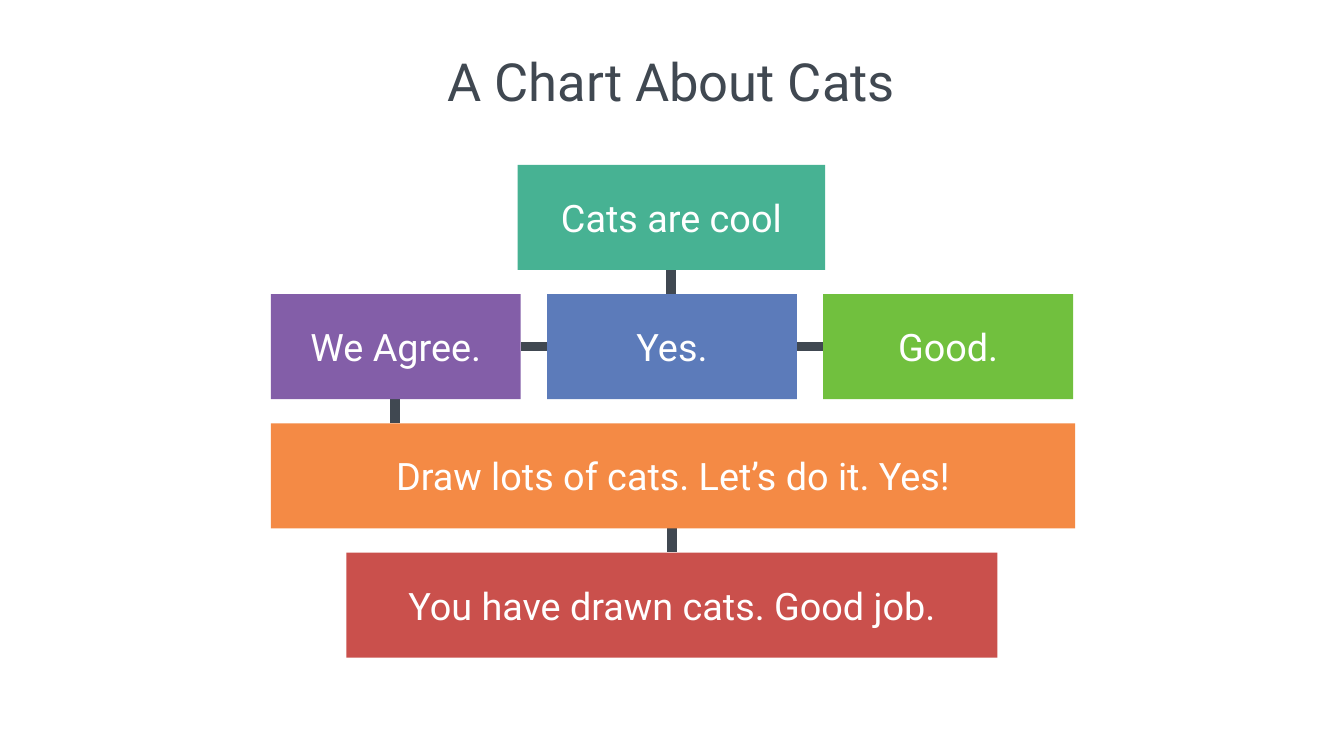
from lxml import etree
from pptx import Presentation
from pptx import util as u
from pptx.dml.color import RGBColor
from pptx.enum import shapes, text
from pptx.oxml import ns

DARK = "404851"
WHITE = "FFFFFF"
TOP, PITCH, HEIGHT = 157, 123.1, 100


def color(value):
    return RGBColor.from_string(value)


def write(shape, words, size, hue, anchor):
    frame = shape.text_frame
    frame.word_wrap = True
    frame.vertical_anchor = anchor
    frame.margin_left = frame.margin_right = u.Pt(4)
    frame.margin_top = frame.margin_bottom = u.Pt(4)
    paragraph = frame.paragraphs[0]
    paragraph.alignment = text.PP_ALIGN.CENTER
    run = paragraph.add_run()
    run.text = words
    run.font.name = "Roboto"
    run.font.size = u.Pt(size)
    run.font.color.rgb = color(hue)


presentation = Presentation()
presentation.slide_width = u.Pt(1280)
presentation.slide_height = u.Pt(720)
slide = presentation.slides.add_slide(presentation.slide_layouts[6])

# Row tops; each box ends HEIGHT below its row top
rows = [TOP + PITCH * index for index in range(4)]
middle = rows[1] + HEIGHT / 2

links = [
    (639, rows[0] + HEIGHT, 639, rows[1]),
    (784, middle, 759, middle),
    (521, middle, 496, middle),
    (376, rows[1] + HEIGHT, 376, rows[2]),
    (640, rows[2] + HEIGHT, 640, rows[3] - 1),
]
for link in links:
    connector = slide.shapes.add_connector(
        shapes.MSO_CONNECTOR.STRAIGHT, *[u.Pt(value) for value in link])
    connector.line.color.rgb = color(DARK)
    connector.line.width = u.Pt(9)
    etree.SubElement(connector._element.spPr, ns.qn("a:effectLst"))

# Row, left, width, fill, wording
boxes = [
    (3, 330, 620, "CA504C", "You have drawn cats. Good job."),
    (2, 258, 766, "F48A45", "Draw lots of cats. Let’s do it. Yes!"),
    (1, 258, 238, "835EA8", "We Agree."),
    (1, 784, 238, "71C03E", "Good."),
    (1, 521, 238, "5C7BBA", "Yes."),
    (0, 493, 293, "47B293", "Cats are cool"),
]
for row, left, width, fill, words in boxes:
    box = slide.shapes.add_shape(
        shapes.MSO_SHAPE.RECTANGLE,
        u.Pt(left), u.Pt(rows[row]), u.Pt(width), u.Pt(HEIGHT))
    box.shadow.inherit = False
    box.fill.solid()
    box.fill.fore_color.rgb = color(fill)
    box.line.fill.background()
    write(box, words, 36, WHITE, text.MSO_ANCHOR.MIDDLE)

title = slide.shapes.add_textbox(u.Pt(91), u.Pt(44), u.Pt(1097), u.Pt(67))
write(title, "A Chart About Cats", 50, DARK, text.MSO_ANCHOR.BOTTOM)

presentation.save("out.pptx")
